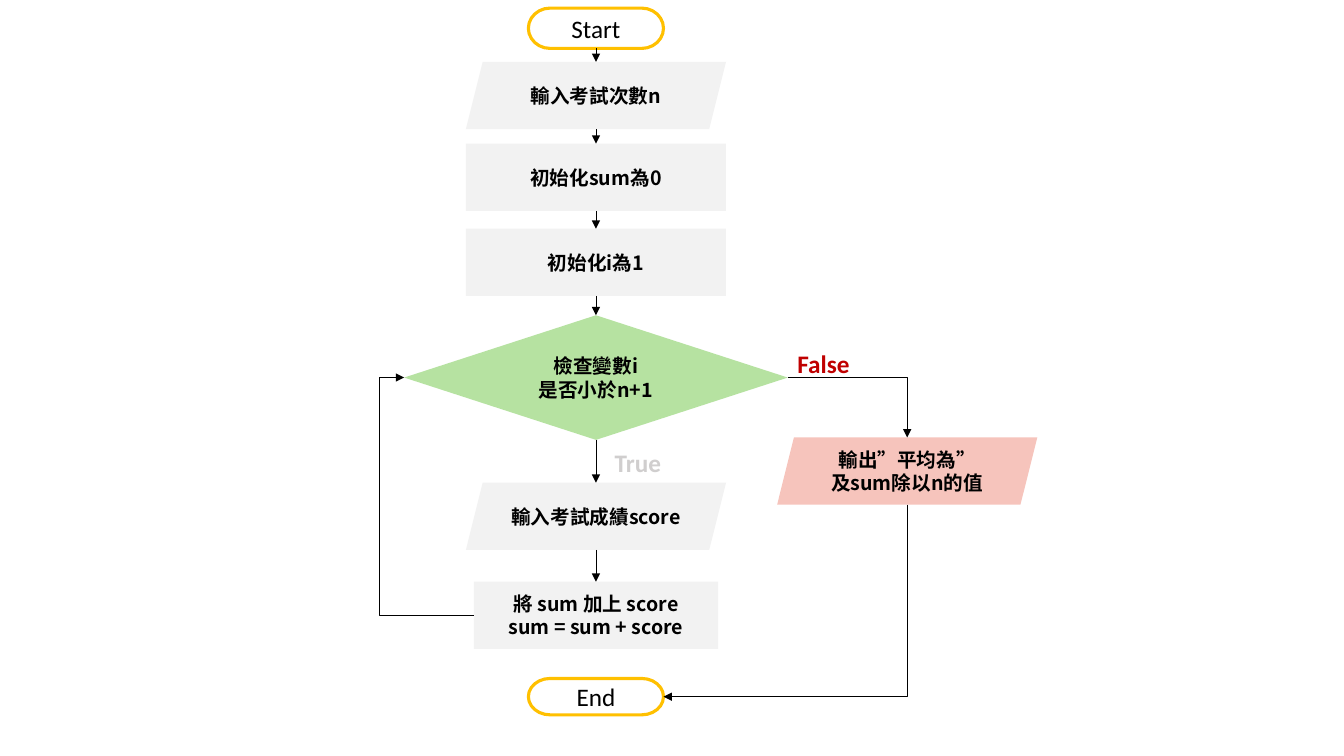
from lxml.etree import SubElement
from pptx import Presentation
from pptx.dml.color import RGBColor
from pptx.enum.shapes import MSO_CONNECTOR, MSO_SHAPE
from pptx.enum.text import MSO_ANCHOR, PP_ALIGN
from pptx.oxml.ns import qn
from pptx.util import Pt

COLORS = {"black": "000000", "white": "FFFFFF", "gold": "FFC000", "step": "F2F2F2",
          "check": "B6E2A1", "output": "F6C4BC", "true": "D0CECE", "false": "C00000"}
LATIN, CHINESE = "Calibri", "Noto Sans CJK SC"
AXIS, OUTPUT_AXIS, LOOP_X = 425.7, 648, 270.7
STEP_EXTENT = (185.8, 48)
TOP, LEFT, BOTTOM, RIGHT = range(4)


def color(name):
    """Return the named colour."""
    return RGBColor.from_string(COLORS[name])


def write(frame, lines, size=14, font=CHINESE, ink="black", bold=True, align=PP_ALIGN.CENTER):
    """Fill a text frame with lines, each a string or a list of (text, font) spans."""
    for number, line in enumerate(lines):
        para = frame.paragraphs[0] if number == 0 else frame.add_paragraph()
        para.alignment = align
        for text, face in [(line, font)] if isinstance(line, str) else line:
            span = para.add_run()
            span.text = text
            span.font.size, span.font.bold, span.font.name = Pt(size), bold, face
            span.font.color.rgb = color(ink)
            SubElement(span.font._element, qn("a:ea")).set("typeface", CHINESE)


def add_node(page, kind, center, top, extent, lines, fill="step", outline=None, **style):
    """Add a flowchart node centred on a vertical axis."""
    width, height = extent
    node = page.shapes.add_shape(kind, Pt(center - width / 2), Pt(top), Pt(width), Pt(height))
    node.shadow.inherit = False
    node.fill.solid()
    node.fill.fore_color.rgb = color(fill)
    if outline:
        node.line.color.rgb = color(outline)
        node.line.width = Pt(2.25)
    else:
        node.line.fill.background()
    node.text_frame.word_wrap = True
    node.text_frame.vertical_anchor = MSO_ANCHOR.MIDDLE
    write(node.text_frame, lines, **style)
    return node


def add_terminal(page, top, height, label):
    """Add a start or end node."""
    return add_node(page, MSO_SHAPE.FLOWCHART_TERMINATOR, AXIS, top, (96.5, height), [label],
                    fill="white", outline="gold", size=18, font=LATIN, bold=False)


def add_label(page, left, top, width, text, ink):
    """Add a branch label."""
    box = page.shapes.add_textbox(Pt(left), Pt(top), Pt(width), Pt(29))
    box.text_frame.word_wrap = False
    write(box.text_frame, [text], size=18, font=LATIN, ink=ink, align=PP_ALIGN.LEFT)


def add_arrow(page, kind, start, end):
    """Add a thin black connector with an arrowhead at its end."""
    arrow = page.shapes.add_connector(kind, *[Pt(value) for value in (*start, *end)])
    arrow.line.color.rgb = color("black")
    arrow.line.width = Pt(0.5)
    SubElement(arrow.line._get_or_add_ln(), qn("a:tailEnd")).set("type", "triangle")
    SubElement(arrow._element.spPr, qn("a:effectLst"))
    return arrow


def add_bent_arrow(page, start, end, middle=None, vertical_first=False):
    """Add an arrow with one corner, or with two when the middle ratio is given."""
    if vertical_first:
        center_x, center_y = (start[0] + end[0]) / 2, (start[1] + end[1]) / 2
        half_width, half_height = abs(end[1] - start[1]) / 2, abs(end[0] - start[0]) / 2
        start = (center_x - half_width, center_y - half_height)
        end = (center_x + half_width, center_y + half_height)
    arrow = add_arrow(page, MSO_CONNECTOR.ELBOW, start, end)
    geometry = arrow._element.spPr.find(qn("a:prstGeom"))
    if vertical_first:
        arrow._element.spPr.find(qn("a:xfrm")).set("rot", str(90 * 60000))
    if middle is None:
        geometry.set("prst", "bentConnector2")
    else:
        guide = SubElement(geometry.find(qn("a:avLst")), qn("a:gd"))
        guide.set("name", "adj1")
        guide.set("fmla", f"val {round(middle * 100000)}")


def side(node, number):
    """Return the middle of a node's side in points."""
    x = {LEFT: 0, RIGHT: 1}.get(number, 0.5)
    y = {TOP: 0, BOTTOM: 1}.get(number, 0.5)
    return (node.left + node.width * x) / Pt(1), (node.top + node.height * y) / Pt(1)


def link_down(page, upper, lower):
    """Join two stacked nodes with a straight arrow."""
    arrow = add_arrow(page, MSO_CONNECTOR.STRAIGHT, side(upper, BOTTOM), side(lower, TOP))
    if upper.auto_shape_type != MSO_SHAPE.PARALLELOGRAM:
        arrow.begin_connect(upper, BOTTOM)
    if lower.auto_shape_type != MSO_SHAPE.PARALLELOGRAM:
        arrow.end_connect(lower, TOP)


def add_main_column(page):
    """Add the central column and return its check, last step and end node."""
    start = add_terminal(page, 5.8, 28.8, "Start")
    count = add_node(page, MSO_SHAPE.PARALLELOGRAM, AXIS, 44.2, STEP_EXTENT, ["輸入考試次數n"])
    total = add_node(page, MSO_SHAPE.RECTANGLE, AXIS, 102.6, STEP_EXTENT, ["初始化sum為0"])
    index = add_node(page, MSO_SHAPE.RECTANGLE, AXIS, 163.4, STEP_EXTENT, ["初始化i為1"])
    check = add_node(page, MSO_SHAPE.DIAMOND, AXIS, 225.2, (274, 89),
                     ["檢查變數i", "是否小於n+1"], fill="check")
    score = add_node(page, MSO_SHAPE.PARALLELOGRAM, AXIS, 344.8, STEP_EXTENT,
                     ["輸入考試成績score"])
    adding = add_node(page, MSO_SHAPE.RECTANGLE, AXIS, 415.5, (174.5, 48),
                      ["將 sum 加上 score", "sum = sum + score"])
    column = [start, count, total, index, check, score, adding]
    for upper, lower in zip(column, column[1:]):
        link_down(page, upper, lower)
    add_label(page, 432, 316.3, 47.5, "True", "true")
    return check, adding, add_terminal(page, 484.6, 26, "End")


def add_loop(page, adding, check):
    """Add the arrow that returns from the last step to the check."""
    start, end = side(adding, LEFT), side(check, LEFT)
    add_bent_arrow(page, start, end, middle=(start[0] - LOOP_X) / (start[0] - end[0]))


def add_output_branch(page, check, end):
    """Add the output node with its arrows and label."""
    output = add_node(page, MSO_SHAPE.PARALLELOGRAM, OUTPUT_AXIS, 312.5, STEP_EXTENT,
                      [[("輸出", CHINESE), ("”平均為”", LATIN)],
                       [("及", LATIN), ("sum除以n的值", CHINESE)]], fill="output")
    add_bent_arrow(page, side(check, RIGHT), side(output, TOP))
    add_bent_arrow(page, side(output, BOTTOM), side(end, RIGHT), vertical_first=True)
    add_label(page, 562.5, 245, 52, "False", "false")


def main():
    """Build and save the flowchart slide."""
    deck = Presentation()
    deck.slide_width, deck.slide_height = Pt(960), Pt(540)
    page = deck.slides.add_slide(deck.slide_layouts[6])
    check, adding, end = add_main_column(page)
    add_loop(page, adding, check)
    add_output_branch(page, check, end)
    deck.save("out.pptx")


if __name__ == "__main__":
    main()
